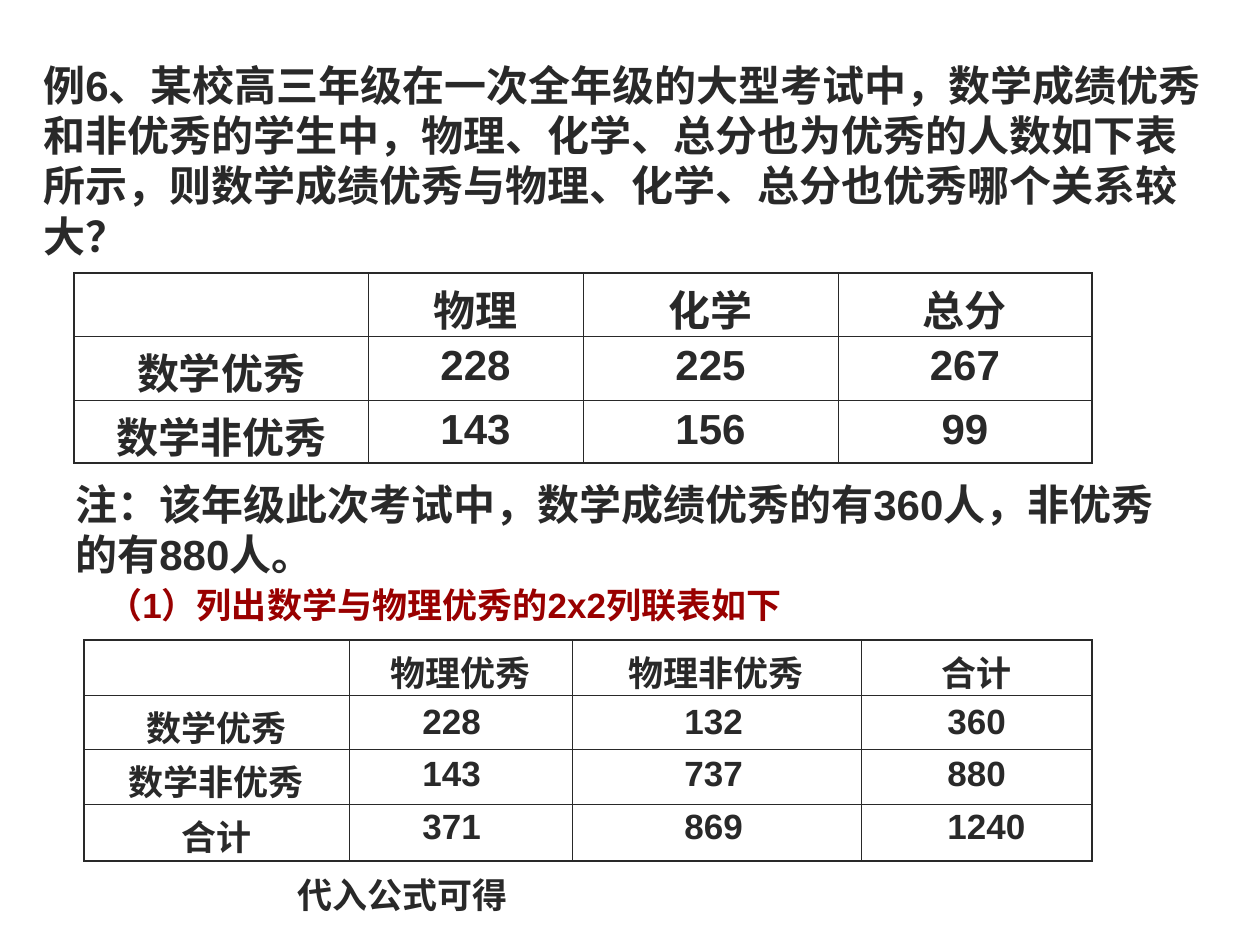
"""Build a slide comparing exam results with two contingency tables."""
import pptx
import pptx.dml.color
import pptx.enum.text
import pptx.oxml
import pptx.oxml.ns
import pptx.util

PX = 914400 // 126
INK = pptx.dml.color.RGBColor(0x29, 0x29, 0x29)
RED = pptx.dml.color.RGBColor(0x99, 0x00, 0x00)
CENTER = pptx.enum.text.PP_ALIGN.CENTER


def write(frame, text, size, color=INK, align=None):
    paragraph = frame.paragraphs[0]
    paragraph.alignment = align
    if not text.isdigit():
        paragraph.line_spacing = pptx.util.Pt(size * 1.2)
    run = paragraph.add_run()
    run.text = text
    run.font.name = "Arial"
    run.font.size = pptx.util.Pt(size)
    run.font.bold = True
    run.font.color.rgb = color
    east_asian = pptx.oxml.parse_xml(f'<a:ea {pptx.oxml.ns.nsdecls("a")} typeface="Arial"/>')
    run.font._element.find(pptx.oxml.ns.qn("a:latin")).addnext(east_asian)


def draw_table(left, top, widths, heights, rows, size):
    frame = slide.shapes.add_table(len(heights), len(widths), left * PX, top * PX,
                                   sum(widths) * PX, sum(heights) * PX)
    table = frame.table
    table.first_row = False
    table.horz_banding = False
    for column, width in zip(table.columns, widths):
        column.width = width * PX
    last_row, last_column = len(heights) - 1, len(widths) - 1
    for i, height in enumerate(heights):
        table.rows[i].height = height * PX
        for j in range(len(widths)):
            cell = table.cell(i, j)
            cell.fill.background()
            text = rows[i][j]
            if text:
                write(cell.text_frame, text, size, align=CENTER)
                if not text.isdigit():
                    cell.margin_top = 12 * PX
                    cell.margin_bottom = 0
            properties = cell._tc.get_or_add_tcPr()
            outer_sides = {"L": j == 0, "R": j == last_column, "T": i == 0, "B": i == last_row}
            for position, (side, outer) in enumerate(outer_sides.items()):
                width = pptx.util.Pt(1.08 if outer else 0.45)
                properties.insert(position, pptx.oxml.parse_xml(
                    f'<a:ln{side} {pptx.oxml.ns.nsdecls("a")} w="{width}"><a:solidFill>'
                    f'<a:srgbClr val="{INK}"/></a:solidFill></a:ln{side}>'))


presentation = pptx.Presentation()
presentation.slide_width = 1260 * PX
presentation.slide_height = 945 * PX
slide = presentation.slides.add_slide(presentation.slide_layouts[6])

draw_table(74, 273, [294, 215, 255, 254], [63, 64, 63], [
    ["", "物理", "化学", "总分"],
    ["数学优秀", "228", "225", "267"],
    ["数学非优秀", "143", "156", "99"],
], 24)
draw_table(84, 640, [265, 223, 289, 231], [55, 54, 55, 57], [
    ["", "物理优秀", "物理非优秀", "合计"],
    ["数学优秀", "", "", ""],
    ["数学非优秀", "", "", ""],
    ["合计", "", "", ""],
], 20)

texts = [
    (31, 53, 1187, 214, "例6、某校高三年级在一次全年级的大型考试中，数学成绩优秀和非优秀的学生中，"
     "物理、化学、总分也为优秀的人数如下表所示，则数学成绩优秀与物理、化学、总分也优秀哪个关系较大？", 24, INK),
    (63, 472, 1103, 113, "注：该年级此次考试中，数学成绩优秀的有360人，非优秀的有880人。", 24, INK),
    (95, 577, 872, 55, "（1）列出数学与物理优秀的2x2列联表如下", 20, RED),
    (285, 867, 262, 55, "代入公式可得", 20, INK),
]
counts = [["228", "132", "360"], ["143", "737", "880"], ["371", "869", "1240"]]
for top, row in zip((693, 745, 798), counts):
    for left, count in zip((410, 672, 935), row):
        texts.append((left, top, 26 + 20 * len(count), 55, count, 20, INK))

for left, top, width, height, text, size, color in texts:
    box = slide.shapes.add_textbox(left * PX, top * PX, width * PX, height * PX)
    box.text_frame.word_wrap = not text.isdigit()
    write(box.text_frame, text, size, color)

presentation.save("out.pptx")
